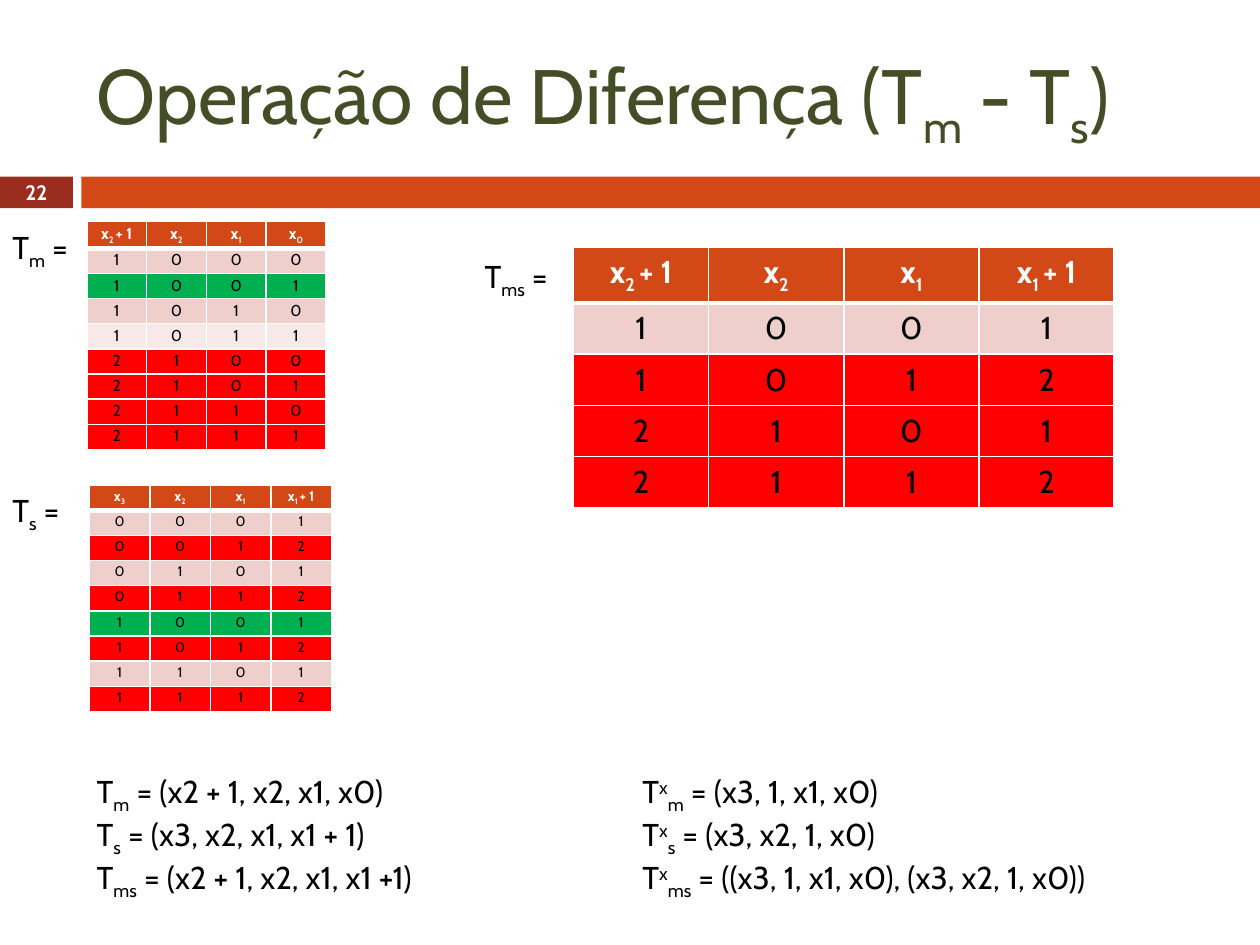
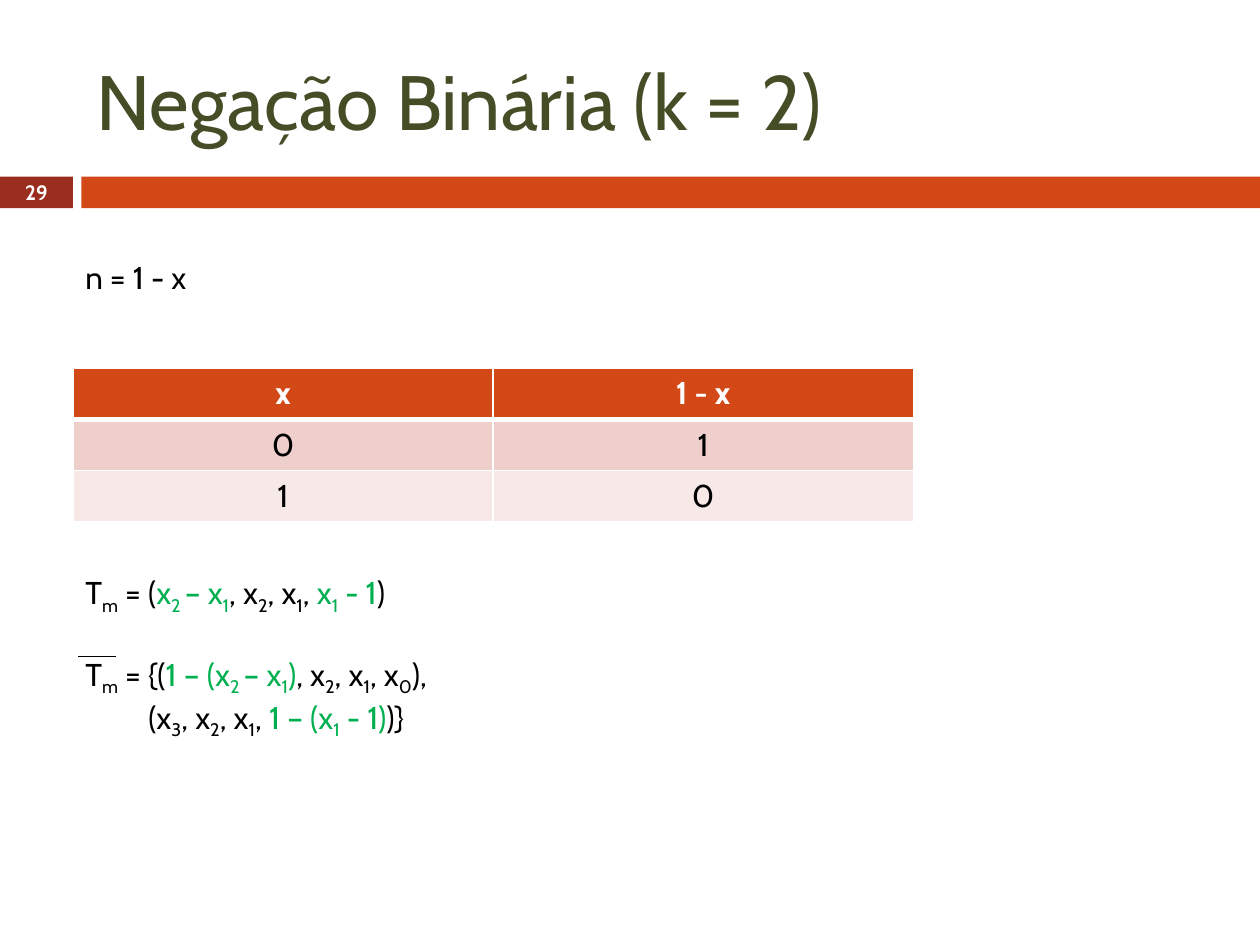
from lxml.etree import SubElement
from pptx import Presentation
from pptx.dml.color import RGBColor
from pptx.enum.shapes import MSO_CONNECTOR as Connector, MSO_SHAPE as Shape
from pptx.enum.text import MSO_ANCHOR as Anchor, PP_ALIGN as Align
from pptx.oxml import parse_xml
from pptx.oxml.ns import nsdecls, qn
from pptx.util import Cm, Pt

WHITE = RGBColor(0xFF, 0xFF, 0xFF)
BLACK = RGBColor(0x00, 0x00, 0x00)
OLIVE = RGBColor(0x44, 0x4D, 0x26)
MAROON = RGBColor(0x9B, 0x2D, 0x1F)
ORANGE = RGBColor(0xD3, 0x48, 0x17)
GREEN = RGBColor(0x00, 0xB0, 0x50)
RED = RGBColor(0xFF, 0x00, 0x00)
PINK = RGBColor(0xEF, 0xCF, 0xCC)
PALE = RGBColor(0xF7, 0xE9, 0xE8)


class Lecture:
    """Hold the deck style and draw elements on the current page."""

    font = "Cabin"
    subscript, superscript = "-25000", "30000"

    def __init__(self):
        self.deck = Presentation()
        self.deck.slide_width, self.deck.slide_height = Cm(25.4), Cm(19.05)
        self.page = None

    def new_page(self, title, number):
        """Start a page with its title, bands and number."""
        self.page = self.deck.slides.add_slide(self.deck.slide_layouts[6])
        self.band(0, 1.47, MAROON)
        self.band(1.64, 23.76, ORANGE)
        self.text((1.7, 0.64, 22.66, 2.74), [title], 44, OLIVE, anchor=Anchor.MIDDLE)
        self.text((0, 3.53, 1.47, 0.69), [number], 11.9, WHITE, True,
                  Align.CENTER, Anchor.MIDDLE)

    def band(self, left, width, color):
        """Draw one part of the band under the title."""
        box = self.page.shapes.add_shape(
            Shape.RECTANGLE, Cm(left), Cm(3.56), Cm(width), Cm(0.64))
        box.shadow.inherit = False
        box.fill.solid()
        box.fill.fore_color.rgb = color
        box.line.fill.background()

    def text(self, place, lines, size=18, color=BLACK, bold=False,
             align=Align.LEFT, anchor=Anchor.TOP):
        """Add a text box and return its paragraphs."""
        frame = self.page.shapes.add_textbox(*map(Cm, place)).text_frame
        for name, value in {"word_wrap": True, "vertical_anchor": anchor}.items():
            setattr(frame, name, value)
        for index, line in enumerate(lines):
            para = frame.add_paragraph() if index else frame.paragraphs[0]
            self.add_spans(para, line, size, color, bold, align)
        return frame.paragraphs

    def add_spans(self, para, line, size, color, bold, align):
        """Fill a paragraph; *green*, _subscript_ and ^superscript^ are marked."""
        para.alignment = align
        formats = {"name": self.font, "size": Pt(size), "bold": bold}
        for i, colored in enumerate(line.split("*")):
            for j, lowered in enumerate(colored.split("_")):
                for k, piece in enumerate(lowered.split("^")):
                    if not piece:
                        continue
                    span = para.add_run()
                    span.text = piece
                    for name, value in formats.items():
                        setattr(span.font, name, value)
                    span.font.color.rgb = GREEN if i % 2 else color
                    if j % 2 or k % 2:
                        span.font._element.set(
                            "baseline", self.subscript if j % 2 else self.superscript)

    def table(self, place, header, rows, size=18, inset=(0.25, 0.13)):
        """Add a table with a header and rows of (digits, fill)."""
        lines = [(header, ORANGE), *rows]
        grid = self.page.shapes.add_table(
            len(lines), len(header), *map(Cm, place)).table
        grid.horz_banding = False
        side, end = map(Cm, inset)
        margins = {"margin_left": side, "margin_right": side,
                   "margin_top": end, "margin_bottom": end}
        for r, (values, fill) in enumerate(lines):
            for c, value in enumerate(values):
                cell = grid.cell(r, c)
                for name, length in margins.items():
                    setattr(cell, name, length)
                cell.fill.solid()
                cell.fill.fore_color.rgb = fill
                self.borders(cell, 3 if r == 1 else 1, 1 if r else 3)
                self.add_spans(cell.text_frame.paragraphs[0], value, size,
                               BLACK if r else WHITE, r == 0, Align.CENTER)

    def borders(self, cell, top, bottom):
        """Give a cell white borders, with top and bottom widths in points."""
        properties = cell._tc.get_or_add_tcPr()
        widths = {"lnL": 1, "lnR": 1, "lnT": top, "lnB": bottom}
        for index, (tag, width) in enumerate(widths.items()):
            properties.insert(index, parse_xml(
                f'<a:{tag} {nsdecls("a")} w="{Pt(width)}"><a:solidFill>'
                f'<a:srgbClr val="{WHITE}"/></a:solidFill></a:{tag}>'))

    def line(self, left, top, right, bottom):
        """Draw a thin black line."""
        stroke = self.page.shapes.add_connector(
            Connector.STRAIGHT, *map(Cm, (left, top, right, bottom)))
        stroke.line.color.rgb = BLACK
        stroke.line.width = Pt(0.79)
        SubElement(stroke._element.spPr, qn("a:effectLst"))


def difference_page(lecture):
    """Build the page on the difference operation."""
    lecture.new_page("Operação de Diferença (T_m_ - T_s_)", "22")
    lecture.table((11.56, 4.98, 10.9, 5.16), ["x_2 _+ 1", "x_2_", "x_1_", "x_1 _+ 1"],
                  [("1001", PINK), ("1012", RED), ("2101", RED), ("2112", RED)])
    lecture.table((1.75, 4.47, 4.82, 4.57), ["x_2 _+ 1", "x_2_", "x_1_", "x_0_"],
                  [("1000", PINK), ("1001", GREEN), ("1010", PINK), ("1011", PALE),
                   ("2100", RED), ("2101", RED), ("2110", RED), ("2111", RED)],
                  9, (0.1, 0.05))
    lecture.table((1.8, 9.78, 4.88, 4.57), ["x_3_", "x_2_", "x_1_", "x_1 _+ 1"],
                  [("0001", PINK), ("0012", RED), ("0101", PINK), ("0112", RED),
                   ("1001", GREEN), ("1012", RED), ("1101", PINK), ("1112", RED)],
                  8, (0.1, 0.05))
    for left, top, width, name in ((9.52, 5.05, 1.85, "ms"), (0, 4.47, 1.7, "m"),
                                   (0, 9.78, 1.55, "s")):
        lecture.text((left, top, width, 1.02), [f"T_{name}_ ="])
    lecture.text((1.7, 15.44, 8.28, 3.33), [
        "T_m_ = (x2 + 1, x2, x1, x0)",
        "T_s_ = (x3, x2, x1, x1 + 1)",
        "T_ms_ = (x2 + 1, x2, x1, x1 +1)"])
    lecture.text((12.7, 15.44, 10.24, 2.57), [
        "T^x^_m_ = (x3, 1, x1, x0)",
        "T^x^_s_ = (x3, x2, 1, x0)",
        "T^x^_ms_ = ((x3, 1, x1, x0), (x3, x2, 1, x0))"])


def negation_page(lecture):
    """Build the page on binary negation."""
    lecture.new_page("Negação Binária (k = 2)", "29")
    lecture.text((1.47, 5.08, 12.7, 3.33), ["n = 1 - x"])
    lecture.table((1.47, 7.42, 16.94, 3.1), ["x", "1 - x"],
                  [("01", PINK), ("10", PALE)])
    formulas = lecture.text((1.47, 11.43, 8.2, 4.88), [
        "T_m_ = (*x_2 _– x_1_*, x_2_, x_1_, *x_1_ - 1*)",
        "T_m_ = {(*1 – (x_2 _– x_1_)*, x_2_, x_1_, x_0_),",
        "(x_3_, x_2_, x_1_, *1 – (x_1_ - 1)*)}"])
    formulas[1].space_before = Pt(22)
    formulas[2]._p.get_or_add_pPr().set("marL", str(Cm(1.27)))
    lecture.line(1.57, 13.23, 2.34, 13.23)


def main():
    """Build and save the deck."""
    lecture = Lecture()
    difference_page(lecture)
    negation_page(lecture)
    lecture.deck.save("out.pptx")


if __name__ == "__main__":
    main()
